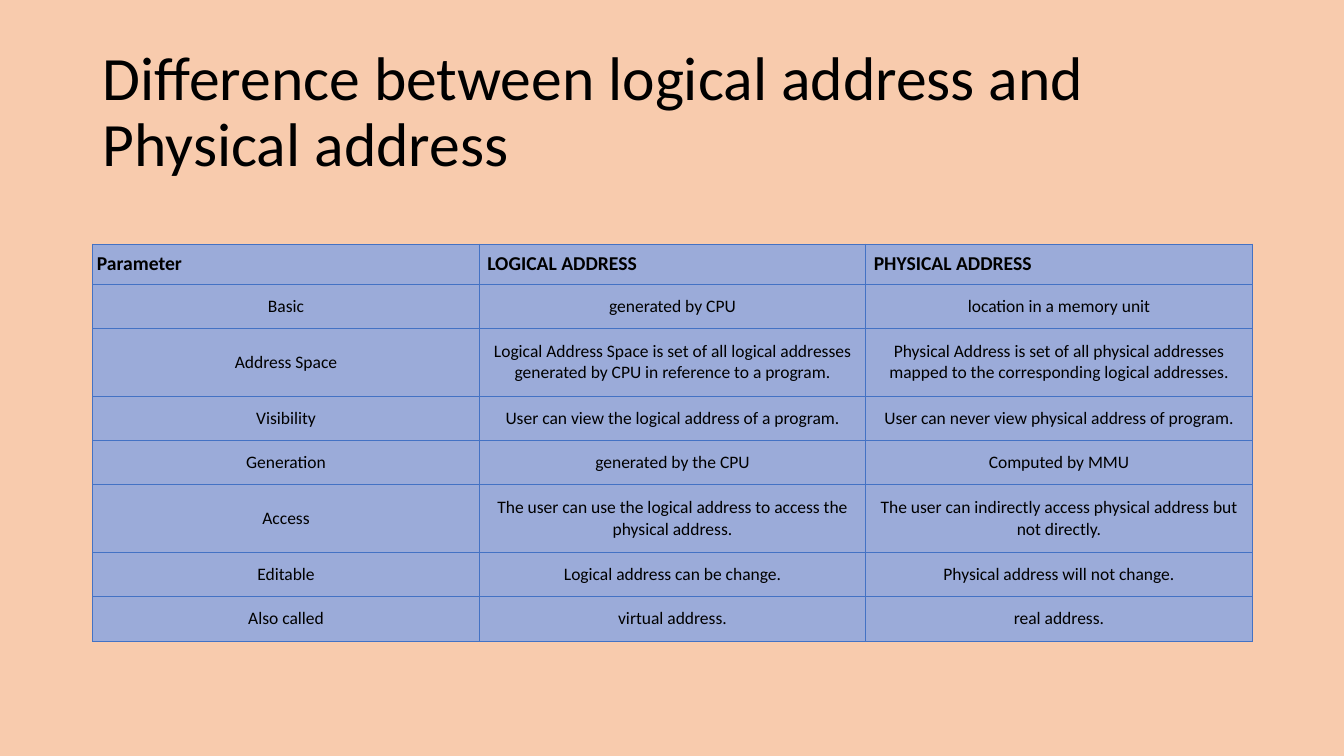
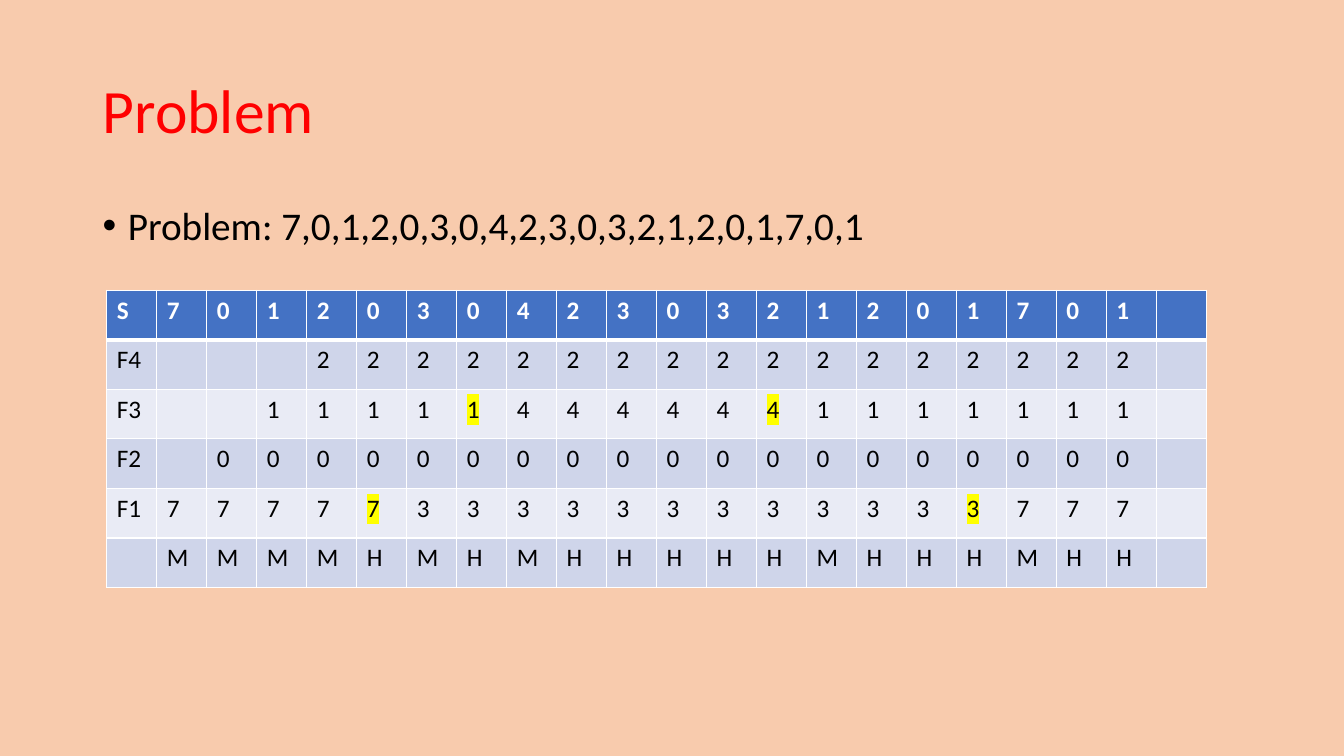
from dataclasses import dataclass

from lxml.etree import SubElement as Sub
from pptx import Presentation
from pptx.dml.color import RGBColor as Rgb
from pptx.enum.text import MSO_ANCHOR as Anchor, MSO_AUTO_SIZE as Fit, PP_ALIGN as Align
from pptx.oxml.ns import qn
from pptx.slide import Slide
from pptx.table import Table
from pptx.util import Inches, Pt

PEACH = Rgb(0xF8, 0xCB, 0xAD)
BLACK = Rgb(0, 0, 0)
WHITE = Rgb(0xFF, 0xFF, 0xFF)
RED = Rgb(0xFF, 0, 0)
BLUE = Rgb(0x44, 0x72, 0xC4)
STEEL = Rgb(0x9B, 0xAB, 0xD9)
DARK = Rgb(0xCF, 0xD5, 0xEA)
LIGHT = Rgb(0xE9, 0xEB, 0xF5)
YELLOW = Rgb(0xFF, 0xFF, 0)
FONT = "Calibri"


@dataclass(frozen=True)
class Box:
    left: float
    top: float
    width: float
    height: float

    def lengths(self) -> tuple:
        return tuple(map(Inches, (self.left, self.top, self.width, self.height)))


@dataclass(frozen=True)
class Look:
    size: float
    color: Rgb
    fill: Rgb
    edge: Rgb
    bold: bool = False
    align: Align = Align.LEFT
    anchor: Anchor = Anchor.TOP
    pad: tuple = (0.1, 0.05, 0.1, 0.05)
    lines: tuple = (1, 1, 1, 1)


TITLE = Box(0.92, 0.4, 11.5, 1.45)
BODY = Box(0.92, 2, 11.5, 4.76)
FACTS = Box(0.92, 2.42, 11.5, 3.94)
TRACE = Box(1.06, 2.88, 10.91, 2.95)

TERMS = [
    ("Parameter", "LOGICAL ADDRESS", "PHYSICAL ADDRESS"),
    ("Basic", "generated by CPU", "location in a memory unit"),
    ("Address Space",
     "Logical Address Space is set of all logical addresses generated by CPU in reference to a program.",
     "Physical Address is set of all physical addresses mapped to the corresponding logical addresses."),
    ("Visibility", "User can view the logical address of a program.",
     "User can never view physical address of program."),
    ("Generation", "generated by the CPU", "Computed by MMU"),
    ("Access", "The user can use the logical address to access the physical address.",
     "The user can indirectly access physical address but not directly."),
    ("Editable", "Logical address can be change.", "Physical address will not change."),
    ("Also called", "virtual address.", "real address."),
]
HEIGHTS = (0.4, 0.44, 0.67, 0.44, 0.44, 0.67, 0.44, 0.44)

PAGES = "70120304230321201701"
FRAMES = [
    ("S", PAGES),
    ("F4", "2" * 17),
    ("F3", "1" * 5 + "4" * 6 + "1" * 7),
    ("F2", "0" * 19),
    ("F1", "7" * 5 + "3" * 12 + "7" * 3),
    ("", "MMMMHMHMHHHHHMHHHMHH"),
]
MARKS = {(2, 7), (2, 13), (4, 5), (4, 17)}


def style(para, size: float, color: Rgb, bold: bool = False) -> None:
    font = para.font
    font.name, font.size, font.bold = FONT, Pt(size), bold
    font.color.rgb = color


def add_title(deck, text: str, color: Rgb) -> Slide:
    slide = deck.slides.add_slide(deck.slide_layouts[5])
    shape = slide.shapes.title
    shape.left, shape.top, shape.width, shape.height = TITLE.lengths()
    frame = shape.text_frame
    frame.text = text
    frame.auto_size = Fit.NONE
    frame.vertical_anchor = Anchor.MIDDLE
    para = frame.paragraphs[0]
    para.alignment = Align.LEFT
    para.line_spacing = 0.9
    style(para, 44, color)
    return slide


def add_bullet(slide: Slide, text: str) -> None:
    frame = slide.shapes.add_textbox(*BODY.lengths()).text_frame
    frame.word_wrap = True
    frame.text = text
    para = frame.paragraphs[0]
    para.line_spacing = 0.9
    para.space_before = Pt(10)
    props = para._p.get_or_add_pPr()
    props.set("marL", str(Inches(0.25)))
    props.set("indent", str(Inches(-0.25)))
    Sub(props, qn("a:buFont"), typeface="Arial")
    Sub(props, qn("a:buChar"), char="•")
    style(para, 28, BLACK)


def add_grid(slide: Slide, box: Box, rows: int, cols: int) -> Table:
    table = slide.shapes.add_table(rows, cols, *box.lengths()).table
    return table


def paint(props, color: Rgb) -> None:
    Sub(props, qn("a:srgbClr"), val=str(color))


def fill_cell(cell, text: str, look: Look, mark: bool = False) -> None:
    props = cell._tc.get_or_add_tcPr()
    for side, width in zip("LRTB", look.lines):
        line = Sub(props, qn(f"a:ln{side}"), w=str(Pt(width)))
        paint(Sub(line, qn("a:solidFill")), look.edge)
    cell.fill.solid()
    cell.fill.fore_color.rgb = look.fill
    cell.vertical_anchor = look.anchor
    pad = map(Inches, look.pad)
    cell.margin_left, cell.margin_top, cell.margin_right, cell.margin_bottom = pad
    para = cell.text_frame.paragraphs[0]
    para.alignment = look.align
    style(para, look.size, look.color, look.bold)
    if text:
        run = para.add_run()
        run.text = text
        if mark:
            paint(Sub(run._r.get_or_add_rPr(), qn("a:highlight")), YELLOW)


def add_facts(slide: Slide) -> None:
    table = add_grid(slide, FACTS, len(TERMS), len(TERMS[0]))
    table.first_row = table.horz_banding = False
    thin = (0.5,) * 4
    base = dict(color=BLACK, fill=STEEL, edge=BLUE, anchor=Anchor.MIDDLE, lines=thin)
    first = Look(14, bold=True, pad=(0.04, 0.08, 0.04, 0.08), **base)
    head = Look(14, bold=True, pad=(0.08,) * 4, **base)
    body = Look(12.5, align=Align.CENTER, pad=(0.08, 0.11, 0.08, 0.11), **base)
    for r, (row, height) in enumerate(zip(TERMS, HEIGHTS)):
        table.rows[r].height = Inches(height)
        for c, text in enumerate(row):
            look = body if r else head if c else first
            fill_cell(table.cell(r, c), text, look)


def add_trace(slide: Slide) -> None:
    cols = len(PAGES) + 2
    table = add_grid(slide, TRACE, len(FRAMES), cols)
    for r, (name, states) in enumerate(FRAMES):
        if r == 0:
            look = Look(18, WHITE, BLUE, WHITE, bold=True, lines=(1, 1, 1, 3))
        else:
            lines = (1, 1, 3 if r == 1 else 1, 1)
            look = Look(18, BLACK, DARK if r % 2 else LIGHT, WHITE, lines=lines)
        row = [name, *states.rjust(len(PAGES)), ""]
        for c, text in enumerate(row):
            fill_cell(table.cell(r, c), text.strip(), look, (r, c) in MARKS)


def main() -> None:
    deck = Presentation()
    deck.slide_width, deck.slide_height = Inches(13.33), Inches(7.5)
    back = deck.slide_master.background.fill
    back.solid()
    back.fore_color.rgb = PEACH
    add_facts(add_title(deck, "Difference between logical address and Physical address", BLACK))
    slide = add_title(deck, "Problem", RED)
    add_bullet(slide, "Problem: " + ",".join(PAGES))
    add_trace(slide)
    deck.save("out.pptx")


if __name__ == "__main__":
    main()
